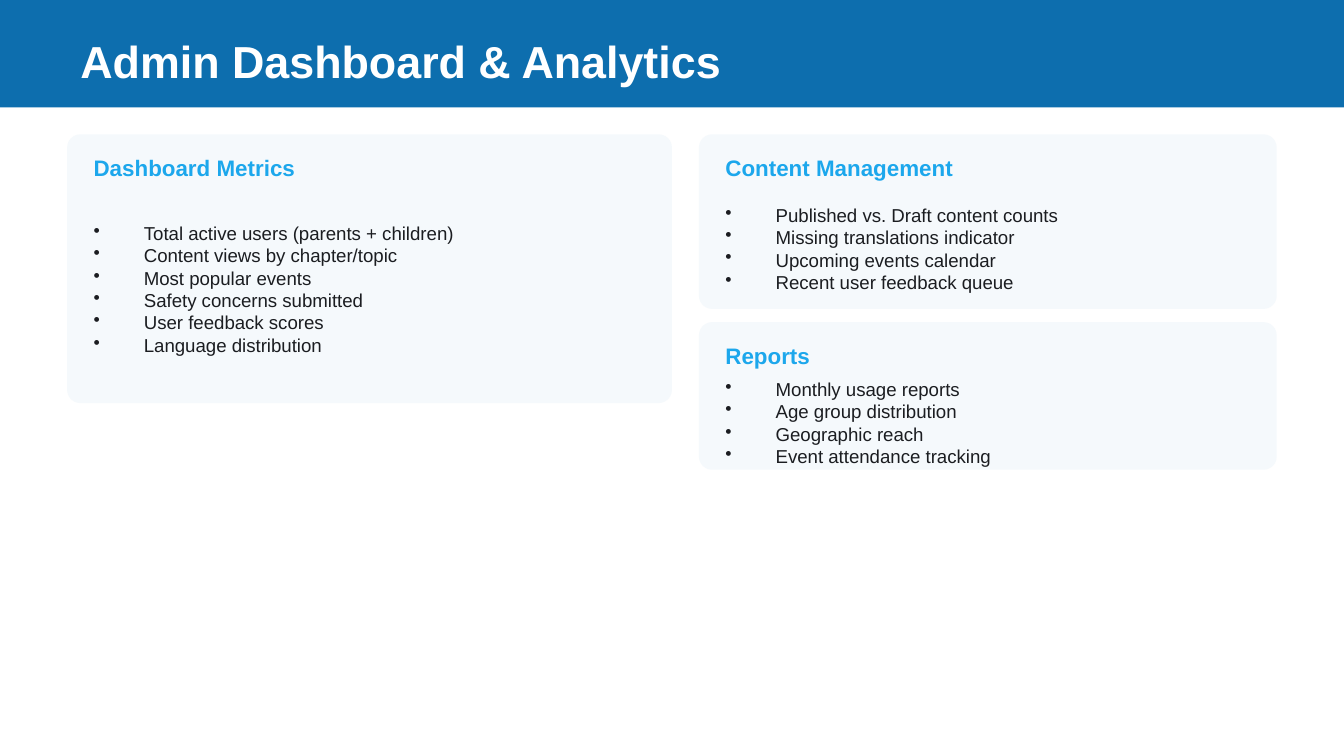
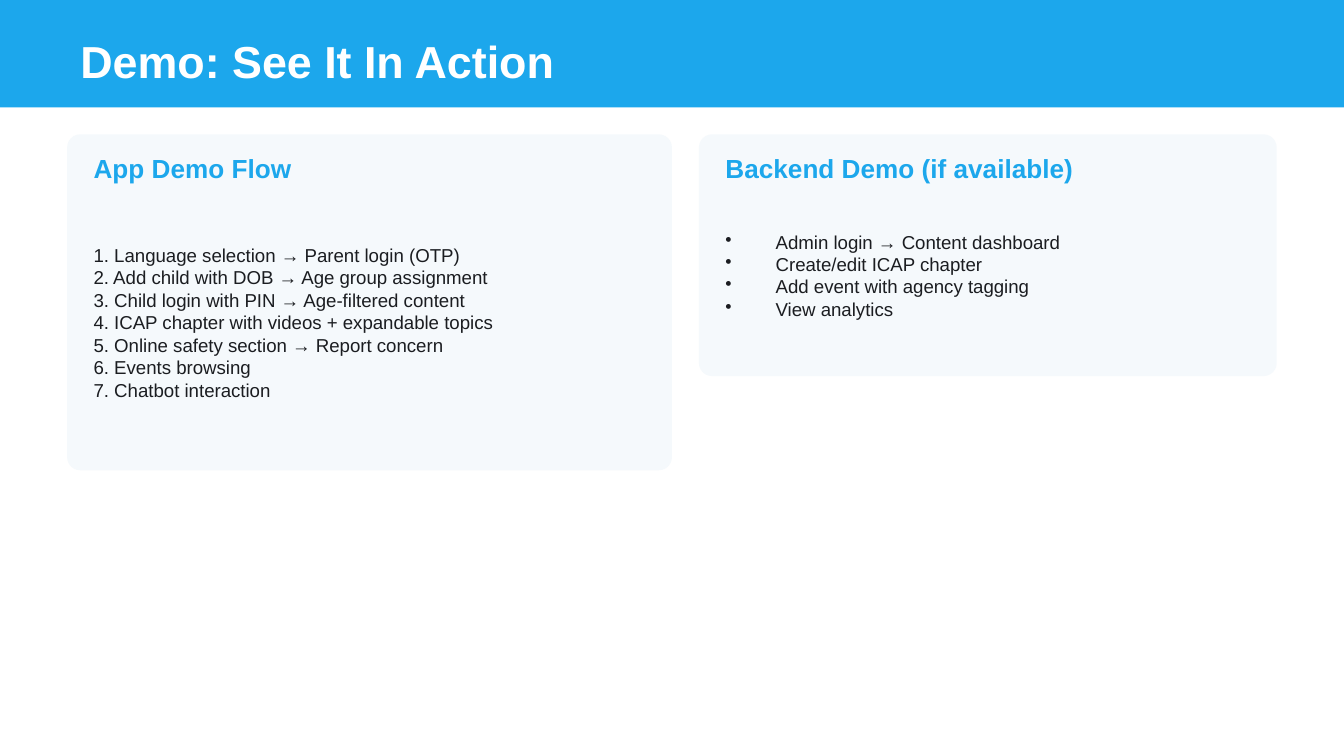
import dataclasses

import lxml.etree
import pptx
import pptx.dml.color
import pptx.enum.shapes
import pptx.enum.text
import pptx.oxml.ns
import pptx.util

Cm = pptx.util.Cm


@dataclasses.dataclass(frozen=True)
class Theme:
    """Colours, type sizes in points and lengths in centimetres."""
    font: str = "Arial"
    deep_blue: str = "0D6EAE"
    sky_blue: str = "1CA7EC"
    card_fill: str = "F5F9FC"
    white: str = "FFFFFF"
    ink: str = "1B1D21"
    title_size: int = 24
    body_size: int = 10
    page_width: float = 25.4
    page_height: float = 14.29
    band_height: float = 2.03
    margin: float = 1.27
    card_top: float = 2.54
    card_gap: float = 0.25
    column_gap: float = 0.51
    left_width: float = 11.43
    pad: float = 0.25
    radius: float = 0.25
    heading_height: float = 0.76
    bullet_indent: float = 0.95


THEME = Theme()


@dataclasses.dataclass(frozen=True)
class Card:
    """A heading with its lines, and the space kept free around them."""
    heading: str
    lines: tuple
    height: float
    bulleted: bool = True
    right_pad: float = THEME.pad
    bottom_pad: float = THEME.pad


def add_block(page, kind, box, color):
    """Draw a filled shape without outline or shadow."""
    shape = page.shapes.add_shape(kind, *(Cm(length) for length in box))
    shape.shadow.inherit = False
    shape.fill.solid()
    shape.fill.fore_color.rgb = pptx.dml.color.RGBColor.from_string(color)
    shape.line.fill.background()
    return shape


def add_bullet(para):
    """Give a paragraph a hanging bullet."""
    indent = Cm(THEME.bullet_indent)
    properties = para._p.get_or_add_pPr()
    properties.set("marL", str(indent))
    properties.set("indent", str(-indent))
    bullet = lxml.etree.SubElement(properties, pptx.oxml.ns.qn("a:buChar"))
    bullet.set("char", "•")


def add_text(page, box, lines, *, size, color, bold=False, bulleted=False):
    """Write lines as vertically centred paragraphs in a wrapping text box."""
    frame = page.shapes.add_textbox(*(Cm(length) for length in box)).text_frame
    frame.word_wrap = True
    frame.vertical_anchor = pptx.enum.text.MSO_ANCHOR.MIDDLE
    for index, line in enumerate(lines):
        para = frame.add_paragraph() if index else frame.paragraphs[0]
        if bulleted:
            add_bullet(para)
        span = para.add_run()
        span.text = line
        span.font.name = THEME.font
        span.font.size = pptx.util.Pt(size)
        span.font.bold = bold
        span.font.color.rgb = pptx.dml.color.RGBColor.from_string(color)


def add_title_band(page, box, title, color):
    """Draw the full-width band with the page title."""
    left, top, width, height = box
    add_block(page, pptx.enum.shapes.MSO_SHAPE.RECTANGLE, box, color)
    title_box = (left + THEME.margin, top + 0.51,
                 width - 2 * THEME.margin, height - 0.76)
    add_text(page, title_box, [title], size=THEME.title_size,
             color=THEME.white, bold=True)


def add_card(page, box, card, heading_size):
    """Draw a rounded card with its heading above its lines."""
    left, top, width, height = box
    shape = add_block(page, pptx.enum.shapes.MSO_SHAPE.ROUNDED_RECTANGLE,
                      box, THEME.card_fill)
    shape.adjustments[0] = THEME.radius / min(width, height)
    text_left = left + THEME.pad
    text_width = width - THEME.pad - card.right_pad
    heading_top = top + THEME.pad
    body_top = heading_top + THEME.heading_height
    body_height = top + height - card.bottom_pad - body_top
    add_text(page, (text_left, heading_top, text_width, THEME.heading_height),
             [card.heading], size=heading_size, color=THEME.sky_blue, bold=True)
    add_text(page, (text_left, body_top, text_width, body_height), card.lines,
             size=THEME.body_size, color=THEME.ink, bulleted=card.bulleted)


def add_column(page, box, cards, heading_size):
    """Stack cards downwards from the top of the box."""
    left, top, width = box
    for card in cards:
        add_card(page, (left, top, width, card.height), card, heading_size)
        top += card.height + THEME.card_gap


def add_two_column_page(deck, title, band_color, heading_size, columns):
    """Add a page with a title band and two columns of cards."""
    page = deck.slides.add_slide(deck.slide_layouts[6])
    add_title_band(page, (0, 0, THEME.page_width, THEME.band_height),
                   title, band_color)
    right_left = THEME.margin + THEME.left_width + THEME.column_gap
    right_width = THEME.page_width - THEME.margin - right_left
    places = ((THEME.margin, THEME.left_width), (right_left, right_width))
    for (left, width), cards in zip(places, columns):
        add_column(page, (left, THEME.card_top, width), cards, heading_size)


METRICS = Card("Dashboard Metrics", (
    "Total active users (parents + children)",
    "Content views by chapter/topic",
    "Most popular events",
    "Safety concerns submitted",
    "User feedback scores",
    "Language distribution",
), height=5.08)

CONTENT = Card("Content Management", (
    "Published vs. Draft content counts",
    "Missing translations indicator",
    "Upcoming events calendar",
    "Recent user feedback queue",
), height=3.3, right_pad=0.51, bottom_pad=0)

REPORTS = Card("Reports", (
    "Monthly usage reports",
    "Age group distribution",
    "Geographic reach",
    "Event attendance tracking",
), height=2.79, right_pad=0.51, bottom_pad=0)

APP_FLOW = Card("App Demo Flow", (
    "1. Language selection → Parent login (OTP)",
    "2. Add child with DOB → Age group assignment",
    "3. Child login with PIN → Age-filtered content",
    "4. ICAP chapter with videos + expandable topics",
    "5. Online safety section → Report concern",
    "6. Events browsing",
    "7. Chatbot interaction",
), height=6.35, bulleted=False)

BACKEND = Card("Backend Demo (if available)", (
    "Admin login → Content dashboard",
    "Create/edit ICAP chapter",
    "Add event with agency tagging",
    "View analytics",
), height=4.57)


def main():
    """Build and save the deck."""
    deck = pptx.Presentation()
    deck.slide_width = Cm(THEME.page_width)
    deck.slide_height = Cm(THEME.page_height)
    add_two_column_page(deck, "Admin Dashboard & Analytics", THEME.deep_blue,
                        12, ([METRICS], [CONTENT, REPORTS]))
    add_two_column_page(deck, "Demo: See It In Action", THEME.sky_blue,
                        14, ([APP_FLOW], [BACKEND]))
    deck.save("out.pptx")


if __name__ == "__main__":
    main()
